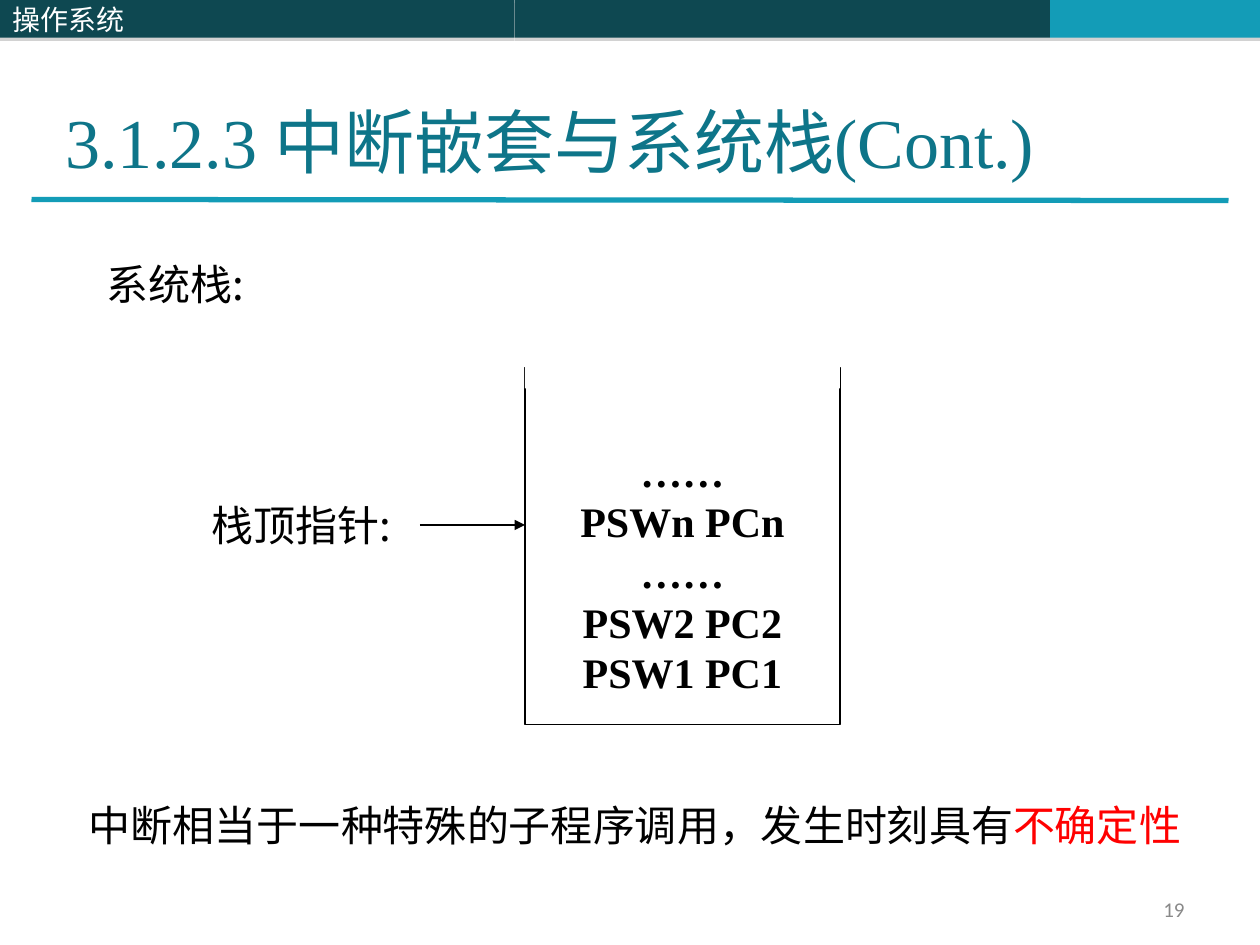
from lxml import etree
from pptx import Presentation, util as u
from pptx.dml.color import RGBColor
from pptx.enum import shapes, text
from pptx.oxml import parse_xml
from pptx.oxml.ns import qn

NS = 'xmlns:a="http://schemas.openxmlformats.org/drawingml/2006/main"'
SANS, SERIF = "Noto Sans CJK SC", "Times New Roman"
SHADOW = (f'<a:effectLst {NS}><a:outerShdw dist="22860" dir="5400000" rotWithShape="0">'
          '<a:srgbClr val="808080"><a:alpha val="35000"/></a:srgbClr>'
          '</a:outerShdw></a:effectLst>')

deck = Presentation()
deck.slide_width, deck.slide_height = u.Inches(10), u.Inches(7.5)
page = deck.slides.add_slide(deck.slide_layouts[5])


def grid(*cells):
    """Lengths on a grid of 120 columns by 90 rows."""
    return [round(cell * deck.slide_width / 120) for cell in cells]


def write(box, lines, size, face, color, align="LEFT", anchor="TOP", wrap=True):
    """Fill a box with paragraphs, each a list of (words, color or None) spans."""
    frame = box.text_frame
    frame.word_wrap = wrap
    frame.auto_size = text.MSO_AUTO_SIZE.NONE
    frame.vertical_anchor = text.MSO_ANCHOR[anchor]
    for index, spans in enumerate(lines):
        para = frame.add_paragraph() if index else frame.paragraphs[0]
        para.alignment = text.PP_ALIGN[align]
        para.font.size, para.font.name = u.Pt(size), face
        para.font.color.rgb = RGBColor.from_string(color)
        for words, accent in spans:
            span = para.add_run()
            span.text = words
            if accent:
                span.font.color.rgb = RGBColor.from_string(accent)
            etree.SubElement(span.font._element, qn("a:ea"), typeface=SANS)


# Header band, title rule and pointer arrow
bands = []
for left, width, color in [(49, 51, "0E4851"), (100, 20, "139CB7"), (0, 49, "0E4851")]:
    band = page.shapes.add_shape(shapes.MSO_SHAPE.RECTANGLE, *grid(left, 0, width, 3.6))
    band.fill.solid()
    band.fill.fore_color.rgb = RGBColor.from_string(color)
    band.line.fill.background()
    band._element.spPr.append(parse_xml(SHADOW))
    bands.append(band)
write(bands[-1], [[("操作系统", None)]], 16, SANS, "FFFFFF", anchor="MIDDLE")

lines = []
for ends, color, weight in [((3, 19, 117, 19.1), "139CB7", 3),
                            ((40, 50, 50, 50), "000000", 0.75)]:
    line = page.shapes.add_connector(shapes.MSO_CONNECTOR.STRAIGHT, *grid(*ends))
    line.line.color.rgb = RGBColor.from_string(color)
    line.line.width = u.Pt(weight)
    etree.SubElement(line._element.spPr, qn("a:effectLst"))
    lines.append(line)
etree.SubElement(lines[-1].line._get_or_add_ln(), qn("a:tailEnd"), type="triangle")

# Title
title = page.shapes.title
title.left, title.top, title.width, title.height = grid(5, 3, 111, 15)
write(title, [[("3.1.2.3 中断嵌套与系统栈(Cont.)", None)]], 40, SERIF, "0E7589",
      anchor="BOTTOM")

# System stack, with a white cover that leaves its top open
stack, cover = [page.shapes.add_shape(shapes.MSO_SHAPE.RECTANGLE, *grid(50, top, 30, height))
                for top, height in [(35, 34), (32, 5)]]
for block in (stack, cover):
    block.shadow.inherit = False
    block.fill.solid()
    block.fill.fore_color.rgb = RGBColor.from_string("FFFFFF")
stack.line.color.rgb = RGBColor.from_string("000000")
stack.line.width = u.Pt(0.75)
cover.line.fill.background()
entries = ["……", "PSWn PCn", "……", "PSW2 PC2", "PSW1 PC1"]
write(stack, [[(entry, None)] for entry in entries], 24, SERIF, "000000",
      "CENTER", "MIDDLE", wrap=False)
stack.text_frame.margin_top = u.Inches(0.45)
for para in stack.text_frame.paragraphs:
    para.font.bold = True

# Labels and closing remark
remark = [("中断相当于一种特殊的子程序调用，发生时刻具有", None), ("不确定性", "FF0000")]
for place, spans in [((19, 47, 19, 10.8), [("栈顶指针:", None)]),
                     ((9, 24, 19, 6), [("系统栈:", None)]),
                     ((7.3, 75.6, 115.4, 6), remark)]:
    write(page.shapes.add_textbox(*grid(*place)), [spans], 24, SANS, "000000")

# Page number
write(page.shapes.add_textbox(*grid(86, 85, 28, 3.2)), [[("19", None)]], 12, "Calibri",
      "898989", "RIGHT", "MIDDLE")

deck.save("out.pptx")
